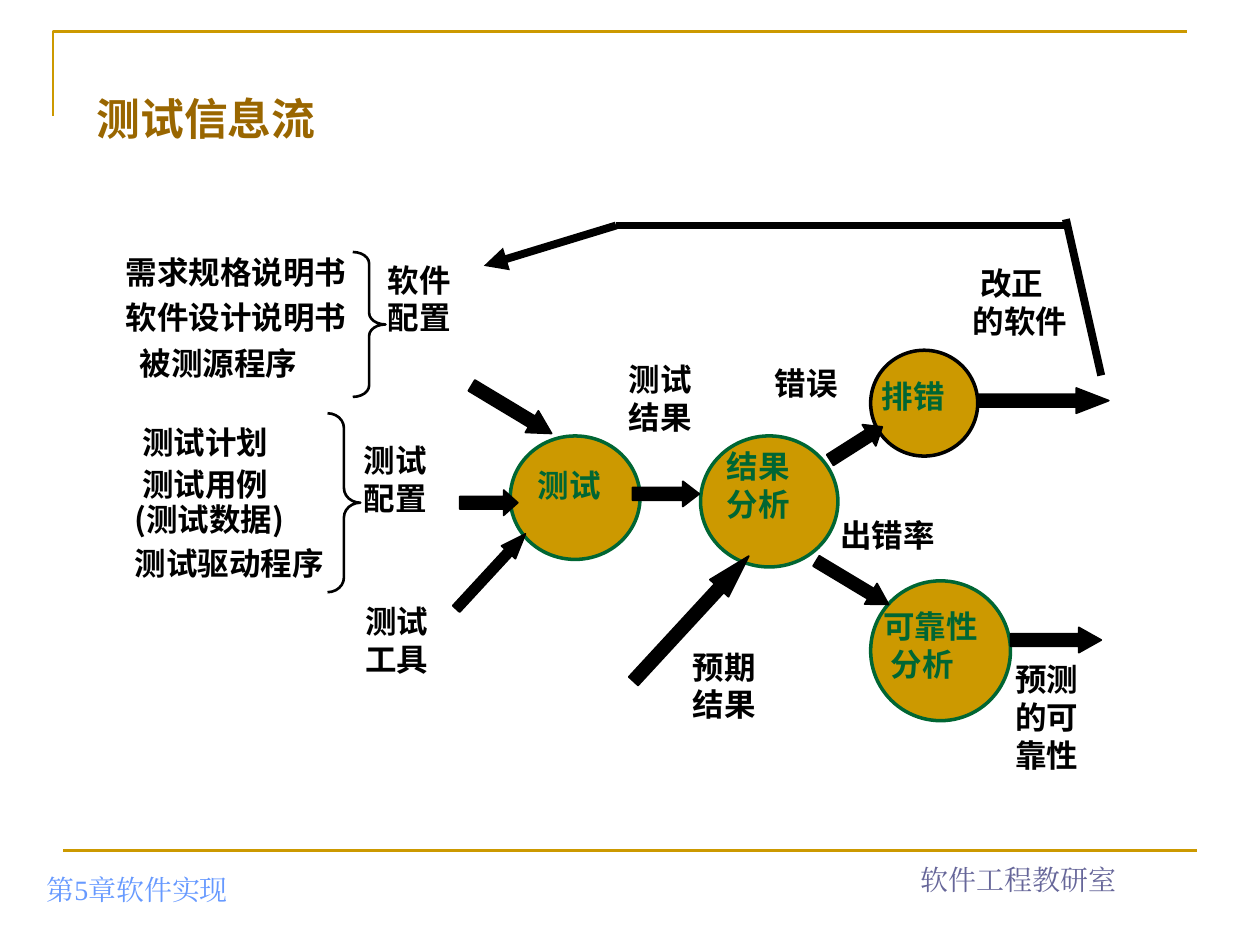
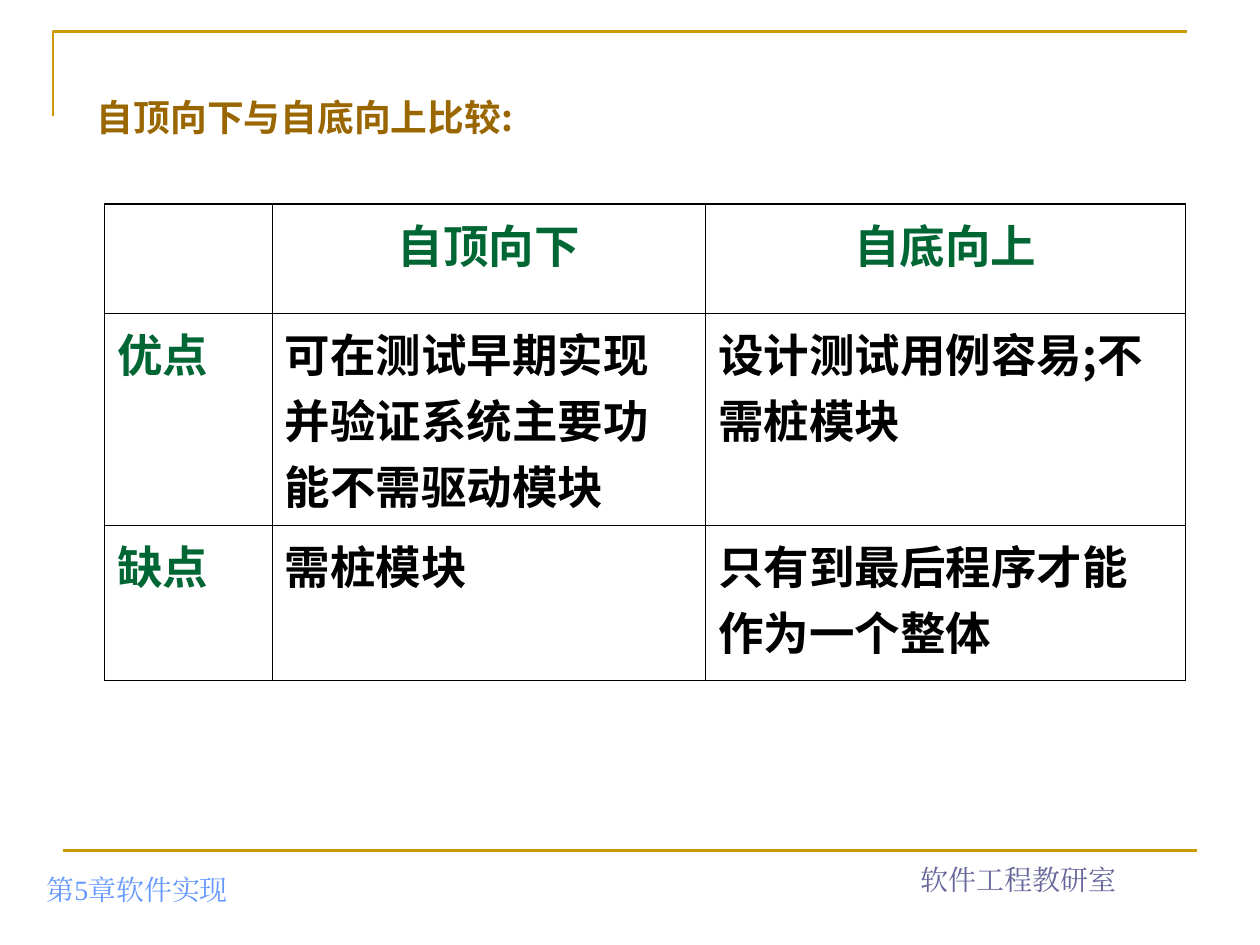
from lxml import etree
from pptx import Presentation, util as u
from pptx.dml.color import RGBColor
from pptx.enum import shapes, text
from pptx.oxml.ns import qn

GOLD, BROWN, GREEN, BLACK = "CC9900", "996600", "006633", "000000"
SANS, SERIF = "Noto Sans CJK SC", "Times New Roman"
LEFT, MID = text.PP_ALIGN.LEFT, text.PP_ALIGN.CENTER


def paint(fmt, hue):
    """Give a fill, a line's fill or a font one solid colour."""
    if hasattr(fmt, "solid"):
        fmt.solid()
        fmt = fmt.fore_color
    else:
        fmt = fmt.color
    fmt.rgb = RGBColor.from_string(hue)


def write(frame, lines, size, hue, font=SANS, bold=True, align=LEFT, gap=1.0):
    """Fill a frame; a line is a string or a (string, left indent) pair."""
    frame.word_wrap = True
    for i, line in enumerate(lines):
        words, inset = (line, 0) if isinstance(line, str) else line
        para = frame.add_paragraph() if i else frame.paragraphs[0]
        para.alignment, para.line_spacing = align, gap
        if inset:
            props = para._p.get_or_add_pPr()
            props.set("marL", str(u.Inches(inset)))
            props.set("indent", "0")
        run = para.add_run()
        run.text = words
        run.font.size, run.font.bold, run.font.name = u.Pt(size), bold, font
        paint(run.font, hue)
        etree.SubElement(run._r.get_or_add_rPr(), qn("a:ea"), typeface=font)


prs = Presentation()
prs.slide_width, prs.slide_height = u.Inches(10), u.Inches(7.5)
blank = prs.slide_layouts[6]

# Frame, footers and title of both slides
titles = [
    ("测试信息流", 25, (0.67, 0.68, 2.6, 0.71)),
    ("自顶向下与自底向上比较:", 21, (0.67, 0.7, 8.82, 0.62)),
]
feet = [
    ("第5章软件实现", "6699FF", LEFT, (0.27, 6.74, 3.15, 0.5)),
    ("软件工程教研室", "666699", MID, (6.5, 6.66, 3.17, 0.5)),
]
for words, size, box in titles:
    sld = prs.slides.add_slide(blank)
    pen = sld.shapes.build_freeform(42, 92, scale=u.Inches(0.01))
    pen.add_line_segments([(42, 25), (942, 25)], close=False)
    edge = pen.convert_to_shape()
    edge.shadow.inherit = False
    edge.fill.background()
    rule = sld.shapes.add_connector(
        shapes.MSO_CONNECTOR.STRAIGHT, *map(u.Inches, (0.5, 6.75, 9.5, 6.75)))
    etree.SubElement(rule._element.spPr, qn("a:effectLst"))
    for part in (edge, rule):
        part.line.width = u.Pt(1.5)
        paint(part.line.fill, GOLD)
    for note, hue, align, spot in feet:
        foot = sld.shapes.add_textbox(*map(u.Inches, spot)).text_frame
        foot.vertical_anchor = text.MSO_ANCHOR.BOTTOM
        write(foot, [note], 16, hue, SERIF, False, align)
    head = sld.shapes.add_textbox(*map(u.Inches, box)).text_frame
    write(head, [words], size, BROWN)

flow, versus = prs.slides

# Slide 1: process circles
rounds = [
    (4.05, 3.46, 1.03, 0.98, GREEN),
    (5.56, 3.46, 1.09, 1.04, GREEN),
    (6.91, 2.78, 0.85, 0.84, BLACK),
    (6.91, 4.61, 1.11, 1.11, GREEN),
]
for *box, hue in rounds:
    ball = flow.shapes.add_shape(shapes.MSO_SHAPE.OVAL, *map(u.Inches, box))
    ball.shadow.inherit = False
    paint(ball.fill, GOLD)
    paint(ball.line.fill, hue)
    ball.line.width = u.Pt(2)

# Labels: left, top, width, colour, lines
labels = [
    (4.17, 3.65, 1.32, GREEN, ["测试"]),
    (5.67, 3.5, 1.32, GREEN, ["结果", "分析"]),
    (6.9, 2.94, 1.32, GREEN, ["排错"]),
    (6.91, 4.77, 1.71, GREEN, ["可靠性", ("分析", 0.06)]),
    (2.98, 2.02, 1.12, BLACK, ["软件", "配置"]),
    (2.79, 3.45, 1.06, BLACK, ["测试", "配置"]),
    (2.8, 4.73, 1.37, BLACK, ["测试", "工具"]),
    (4.89, 2.81, 1.12, BLACK, ["测试", "结果"]),
    (6.05, 2.84, 1.12, BLACK, ["错误"]),
    (5.4, 5.09, 1.19, BLACK, ["预期", "结果"]),
    (6.57, 4.05, 1.51, BLACK, ["出错率"]),
    (7.62, 2.05, 1.32, BLACK, [("改正", 0.06), "的软件"]),
    (7.96, 5.19, 0.98, BLACK, ["预测", "的可", "靠性"]),
]
for x, y, w, hue, lines in labels:
    box = x, y, w, 0.1 + 0.3 * len(lines)
    write(flow.shapes.add_textbox(*map(u.Inches, box)).text_frame, lines, 18, hue)

# Input lists
docs = flow.shapes.add_textbox(*map(u.Inches, (0.9, 1.9, 2.09, 1.18)))
write(docs.text_frame, ["需求规格说明书", "软件设计说明书", ("被测源程序", 0.11)],
      18, BLACK, gap=1.2)
plans = flow.shapes.add_textbox(*map(u.Inches, (0.97, 3.28, 1.83, 1.4))).text_frame
write(plans, [("测试计划", 0.06), ("测试用例", 0.06), "(测试数据)", "测试驱动程序"],
      18, BLACK, gap=1.1)
for para in plans.paragraphs[2:]:
    para.line_spacing = 0.95
plans.paragraphs[3].space_before = u.Pt(4.5)

# Braces
for *box, bend in [(2.8, 2, 0.26, 1.15, 0.35), (2.6, 3.28, 0.26, 1.42, 0.45)]:
    brace = flow.shapes.add_shape(shapes.MSO_SHAPE.RIGHT_BRACE, *map(u.Inches, box))
    brace.shadow.inherit = False
    brace.adjustments[0] = bend
    brace.fill.background()
    paint(brace.line.fill, BLACK)
    brace.line.width = u.Pt(1.5)

# Block arrows: left, top, width, height, turn, head length
arrows = [
    (3.65, 3.89, 0.46, 0.2, 0, 0.56),
    (3.69, 3.15, 0.74, 0.2, 31, 0.91),
    (3.49, 4.46, 0.81, 0.15, -47.3, 1.32),
    (7.76, 3.08, 1.04, 0.2, 0, 1.29),
    (6.55, 3.42, 0.49, 0.2, -32.4, 0.62),
    (6.43, 4.53, 0.67, 0.19, 31, 0.86),
    (4.81, 4.81, 1.35, 0.2, -47.3, 1.73),
    (5.02, 3.82, 0.53, 0.2, 0, 0.65),
    (8.02, 4.98, 0.72, 0.2, 0, 0.89),
]
for *box, turn, tip in arrows:
    arrow = flow.shapes.add_shape(shapes.MSO_SHAPE.RIGHT_ARROW, *map(u.Inches, box))
    arrow.shadow.inherit = False
    arrow.rotation = turn
    arrow.adjustments[1] = tip
    paint(arrow.fill, BLACK)
    paint(arrow.line.fill, BLACK)
    arrow.line.width = u.Pt(1)

# Feedback path, with its arrowhead on the last leg
legs = [(8.74, 2.98, 8.46, 1.74), (8.48, 1.79, 4.89, 1.79), (4.89, 1.79, 3.84, 2.11)]
for ends in legs:
    leg = flow.shapes.add_connector(
        shapes.MSO_CONNECTOR.STRAIGHT, *map(u.Inches, ends))
    paint(leg.line.fill, BLACK)
    leg.line.width = u.Pt(4.5)
    etree.SubElement(leg._element.spPr, qn("a:effectLst"))
etree.SubElement(leg.line._get_or_add_ln(), qn("a:tailEnd"), type="triangle")

# Slide 2: comparison table
rows = [
    ("", "自顶向下", "自底向上"),
    ("优点", "可在测试早期实现并验证系统主要功能不需驱动模块", "设计测试用例容易;不需桩模块"),
    ("缺点", "需桩模块", "只有到最后程序才能作为一个整体"),
]
grid = versus.shapes.add_table(
    3, 3, *map(u.Inches, (0.83, 1.62, 8.58, 3.78))).table
grid.first_row = grid.horz_banding = False
for col, w in zip(grid.columns, (1.33, 3.44, 3.81)):
    col.width = u.Inches(w)
for row, h in zip(grid.rows, (0.87, 1.68, 1.23)):
    row.height = u.Inches(h)

for r, row in enumerate(rows):
    for c, words in enumerate(row):
        cell = grid.cell(r, c)
        cell.margin_left = cell.margin_right = u.Inches(0.1)
        cell.margin_top = cell.margin_bottom = u.Inches(0.05)
        # Outer borders are heavier than inner ones
        outer = {"lnL": c == 0, "lnR": c == 2, "lnT": r == 0, "lnB": r == 2}
        for side, thick in outer.items():
            ln = etree.SubElement(cell._tc.get_or_add_tcPr(), qn("a:" + side),
                                  w=str(u.Pt(1.08 if thick else 0.45)))
            fill = etree.SubElement(ln, qn("a:solidFill"))
            etree.SubElement(fill, qn("a:srgbClr"), val=BLACK)
        cell.fill.background()
        if words:
            write(cell.text_frame, [words], 26, BLACK if r and c else GREEN,
                  align=LEFT if r else MID)

prs.save("out.pptx")
